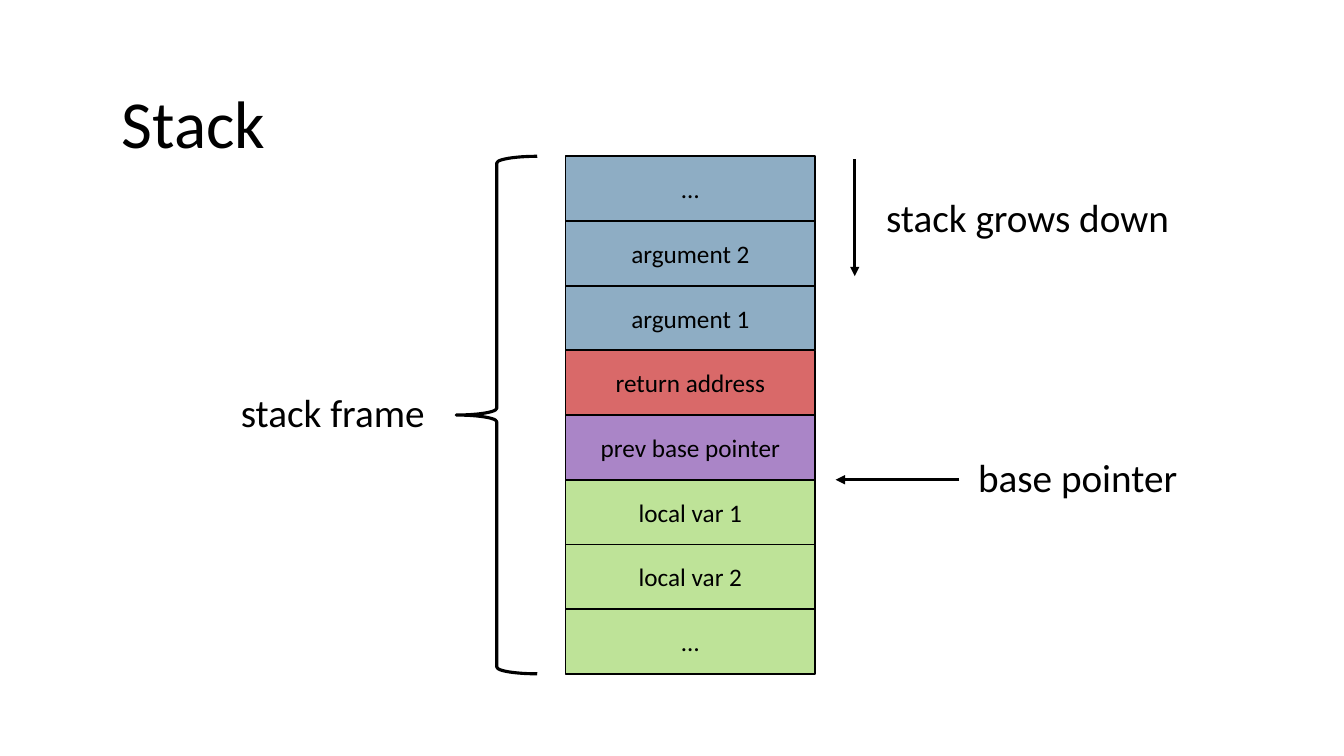
from lxml import etree
from pptx import Presentation
from pptx.dml.color import RGBColor
from pptx.enum import shapes, text
from pptx.oxml.ns import qn
from pptx.util import Cm, Pt

BLACK = RGBColor(0, 0, 0)
BLUE = RGBColor(0x40, 0x74, 0x9B)
RED = RGBColor(0xC0, 0, 0)
PURPLE = RGBColor(0x70, 0x30, 0xA0)
GREEN = RGBColor(0x92, 0xD0, 0x50)

CELLS = [
    ("…", BLUE),
    ("argument 2", BLUE),
    ("argument 1", BLUE),
    ("return address", RED),
    ("prev base pointer", PURPLE),
    ("local var 1", GREEN),
    ("local var 2", GREEN),
    ("…", GREEN),
]
LEFT, TOP, WIDTH, STEP = 14.25, 3.94, 6.3, 1.63


class Board:
    font = "Calibri"
    alpha = 59000

    def __init__(self, slide):
        self.slide = slide

    def letter(self, shape, words, size, align, anchor):
        """Put styled text into a shape."""
        frame = shape.text_frame
        frame.word_wrap = True
        frame.vertical_anchor = anchor
        frame.text = words
        para = frame.paragraphs[0]
        para.alignment = align
        para.font.name = self.font
        para.font.size = Pt(size)
        para.font.color.rgb = BLACK

    def title(self, words, x, y, w, h):
        shape = self.slide.shapes.title
        shape.left, shape.top = Cm(x), Cm(y)
        shape.width, shape.height = Cm(w), Cm(h)
        self.letter(shape, words, 48, text.PP_ALIGN.LEFT, text.MSO_ANCHOR.TOP)

    def label(self, words, x, y, w):
        shape = self.slide.shapes.add_textbox(Cm(x), Cm(y), Cm(w), Cm(1.45))
        self.letter(shape, words, 28, text.PP_ALIGN.LEFT, text.MSO_ANCHOR.TOP)

    def outline(self, shape, width):
        shape.shadow.inherit = False
        shape.line.color.rgb = BLACK
        shape.line.width = Pt(width)

    def cell(self, group, words, color, x, y, w, h):
        shape = group.shapes.add_shape(
            shapes.MSO_SHAPE.RECTANGLE, Cm(x), Cm(y), Cm(w), Cm(h))
        self.outline(shape, 1.25)
        shape.fill.solid()
        shape.fill.fore_color.rgb = color
        tint = shape._element.spPr.find(qn("a:solidFill")).find(qn("a:srgbClr"))
        etree.SubElement(tint, qn("a:alpha")).set("val", str(self.alpha))
        self.letter(shape, words, 18, text.PP_ALIGN.CENTER,
                    text.MSO_ANCHOR.MIDDLE)

    def stack(self, cells, x, y, w, step):
        group = self.slide.shapes.add_group_shape()
        for i, (words, color) in enumerate(cells):
            self.cell(group, words, color, x, y + i * step, w, step)

    def brace(self, x, y, w, h):
        shape = self.slide.shapes.add_shape(
            shapes.MSO_SHAPE.LEFT_BRACE, Cm(x), Cm(y), Cm(w), Cm(h))
        self.outline(shape, 2.25)
        shape.fill.background()

    def arrow(self, x1, y1, x2, y2):
        link = self.slide.shapes.add_connector(
            shapes.MSO_CONNECTOR.STRAIGHT, Cm(x1), Cm(y1), Cm(x2), Cm(y2))
        link.line.color.rgb = BLACK
        link.line.width = Pt(2.25)
        props = link._element.spPr
        tip = etree.SubElement(props.find(qn("a:ln")), qn("a:tailEnd"))
        tip.set("type", "triangle")
        etree.SubElement(props, qn("a:effectLst"))


def main():
    deck = Presentation()
    deck.slide_width, deck.slide_height = Cm(33.87), Cm(19.05)
    board = Board(deck.slides.add_slide(deck.slide_layouts[5]))

    board.title("Stack", 2.82, 1.93, 28.17, 2.31)
    board.stack(CELLS, LEFT, TOP, WIDTH, STEP)
    board.brace(11.5, TOP, 2.04, STEP * len(CELLS))
    board.label("stack frame", 5.82, 9.65, 6.22)

    base = TOP + 5 * STEP
    board.arrow(24.18, base, 21.06, base)
    board.label("base pointer", 24.4, 11.3, 7.42)

    board.arrow(21.54, 4.02, 21.54, 6.96)
    board.label("stack grows down", 22.08, 4.75, 8.26)
    deck.save("out.pptx")


if __name__ == "__main__":
    main()
